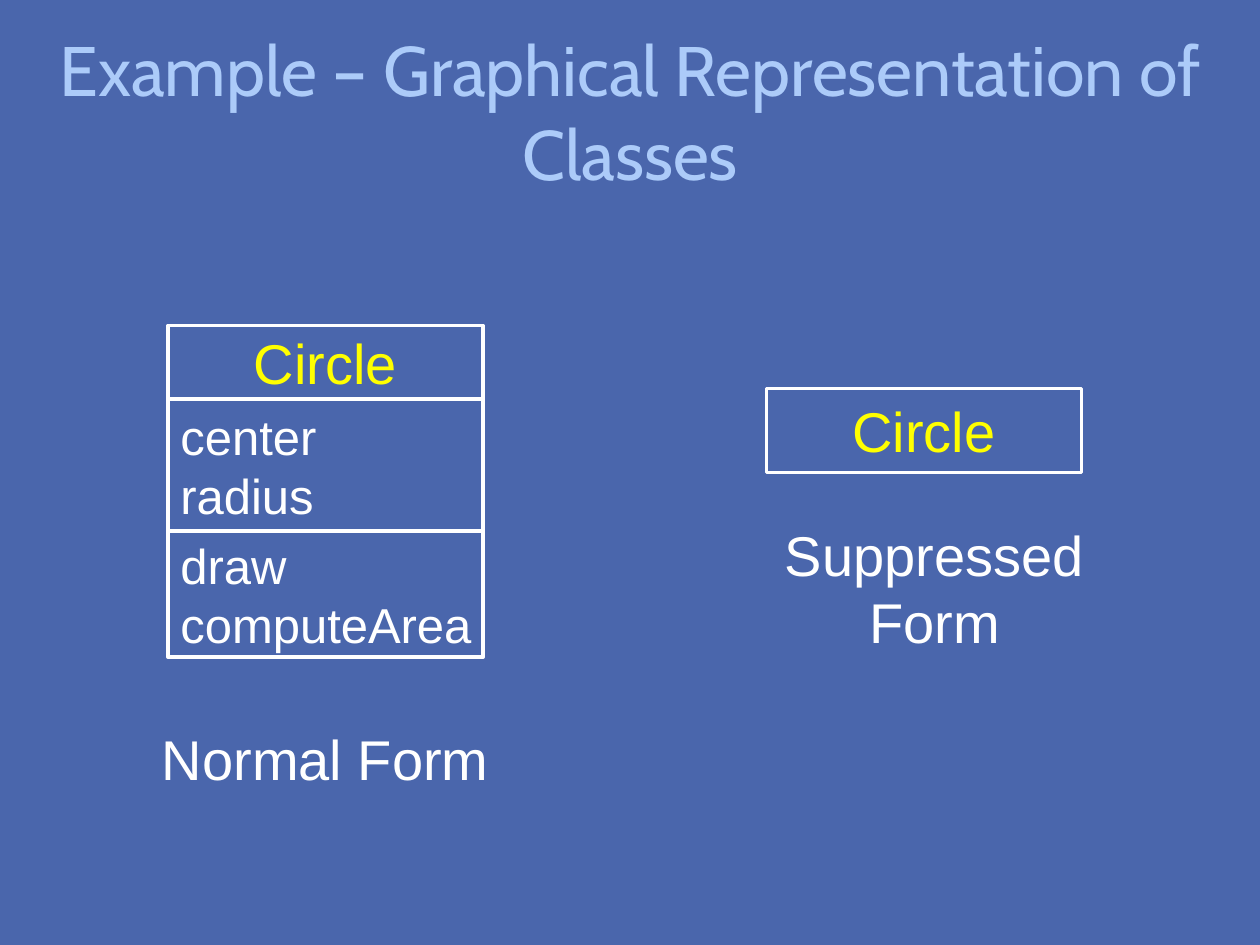
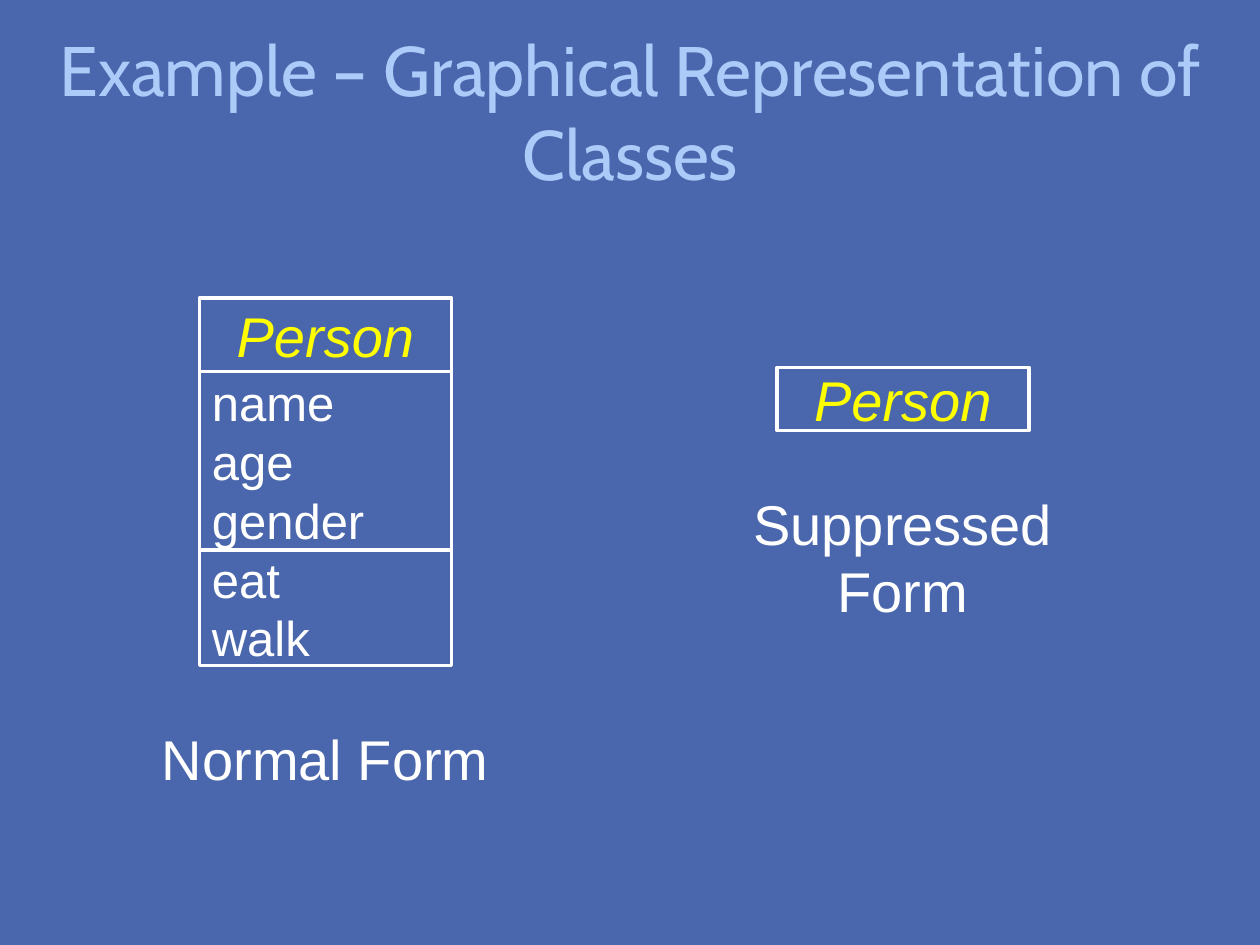
from itertools import accumulate

from pptx import Presentation
from pptx.dml.color import RGBColor
from pptx.enum.shapes import MSO_SHAPE
from pptx.enum.text import MSO_ANCHOR, PP_ALIGN
from pptx.util import Pt

PX = 7620
LINE_RATIO = 1.2
COLORS = {"background": "4A66AC", "title": "ACCBF9", "name": "FFFF00", "body": "FFFFFF"}

TITLE = "Example – Graphical Representation of Classes"
TITLE_AREA = (40, 30, 1120, 150)
NORMAL_CAPTION = ("Normal Form", (130, 684, 360, 76))
SUPPRESSED_CAPTION = "Suppressed Form"
SUPPRESSED_CAPTION_SIZE = (360, 140)

CLASSES = [
    {
        "name": "Circle",
        "abstract": False,
        "members": [["center", "radius"], ["draw", "computeArea"]],
        "left": 160,
        "top": 310,
        "width": 300,
        "heights": [70, 126, 120],
        "suppressed": (730, 370, 300, 80),
        "caption_at": (710, 490),
    },
    {
        "name": "Person",
        "abstract": True,
        "members": [["name", "age", "gender"], ["eat", "walk"]],
        "left": 190,
        "top": 284,
        "width": 240,
        "heights": [70, 170, 110],
        "suppressed": (740, 350, 240, 60),
        "caption_at": (680, 460),
    },
]

STYLES = {
    "title": {"name": "Cabin", "size": Pt(40)},
    "name": {"name": "Arial", "size": Pt(32)},
    "member": {"name": "Arial", "size": Pt(28)},
    "caption": {"name": "Arial", "size": Pt(32)},
}
STYLE_COLORS = {"title": "title", "name": "name", "member": "body", "caption": "body"}


def color(key):
    return RGBColor.from_string(COLORS[key])


def emu(area):
    return [value * PX for value in area]


def write(box, lines, style, anchor, wrap=True, italic=None):
    frame = box.text_frame
    frame.word_wrap = wrap
    frame.vertical_anchor = anchor
    for index, line in enumerate(lines):
        para = frame.add_paragraph() if index else frame.paragraphs[0]
        para.alignment = PP_ALIGN.LEFT if style == "member" else PP_ALIGN.CENTER
        para.line_spacing = Pt(STYLES[style]["size"].pt * LINE_RATIO)
        span = para.add_run()
        span.text = line
        for key, value in (STYLES[style] | {"italic": italic}).items():
            setattr(span.font, key, value)
        span.font.color.rgb = color(STYLE_COLORS[style])


def add_text(page, text, area, style, anchor=MSO_ANCHOR.TOP):
    write(page.shapes.add_textbox(*emu(area)), [text], style, anchor)


def add_compartment(page, lines, area, style, italic=None):
    box = page.shapes.add_shape(MSO_SHAPE.RECTANGLE, *emu(area))
    box.shadow.inherit = False
    box.fill.background()
    box.line.color.rgb = color("body")
    box.line.width = Pt(2)
    write(box, lines, style, MSO_ANCHOR.MIDDLE, False, italic)


def add_class_page(deck, item):
    page = deck.slides.add_slide(deck.slide_layouts[6])
    page.background.fill.solid()
    page.background.fill.fore_color.rgb = color("background")
    add_text(page, TITLE, TITLE_AREA, "title", MSO_ANCHOR.MIDDLE)

    name, italic = [item["name"]], item["abstract"] or None
    compartments = [(name, "name", italic)]
    compartments += [(members, "member", None) for members in item["members"]]
    tops = accumulate(item["heights"], initial=item["top"])
    for (lines, style, slant), top, height in zip(compartments, tops, item["heights"]):
        add_compartment(page, lines, (item["left"], top, item["width"], height), style, slant)

    add_text(page, *NORMAL_CAPTION, "caption")
    caption_area = item["caption_at"] + SUPPRESSED_CAPTION_SIZE
    add_text(page, SUPPRESSED_CAPTION, caption_area, "caption")
    add_compartment(page, name, item["suppressed"], "name", italic)


def main():
    deck = Presentation()
    deck.slide_width, deck.slide_height = emu((1200, 900))
    for item in CLASSES:
        add_class_page(deck, item)
    deck.save("out.pptx")


if __name__ == "__main__":
    main()
